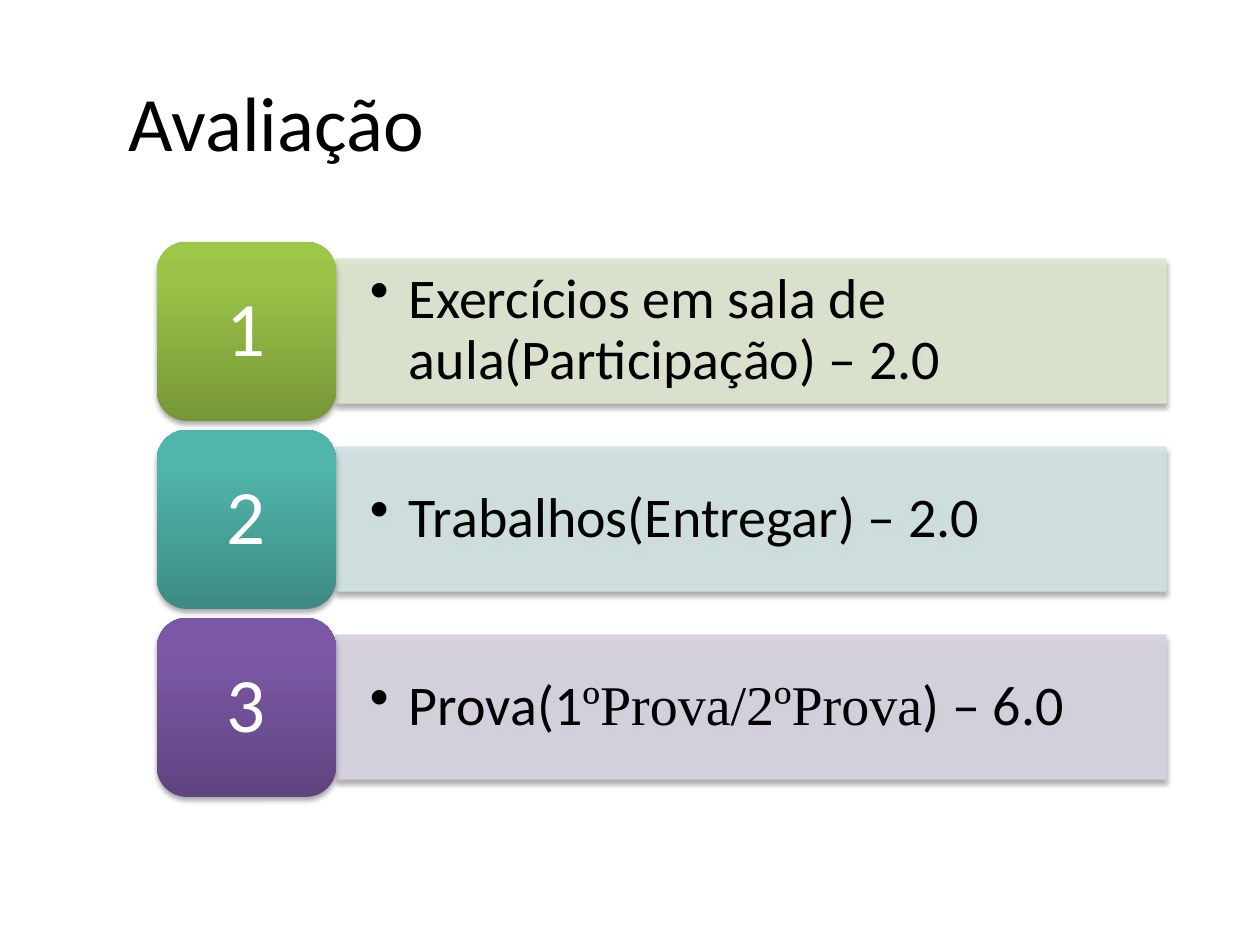
from dataclasses import dataclass

from lxml import etree
from pptx import Presentation
from pptx import util as u
from pptx.dml.color import RGBColor
from pptx.enum import shapes, text
from pptx.oxml import parse_xml
from pptx.oxml.ns import nsdecls, qn

PX = u.Inches(1) // 126


@dataclass(frozen=True)
class Theme:
    font: str = "Calibri"
    serif: str = "Times New Roman"
    ink: str = "000000"
    badge_ink: str = "FFFFFF"
    title_size: int = 44
    badge_size: int = 44
    item_size: int = 32
    panel_opacity: int = 90


THEME = Theme()

# Number, text runs, panel colour, badge gradient from bottom to top
ITEMS = [
    ("1", [("Exercícios em sala de aula(Participação) – 2.0", THEME.font)],
     "DEE7D1", ("779737", "9BC348", "9DC746")),
    ("2", [("Trabalhos(Entregar) – 2.0", THEME.font)],
     "D2E3E2", ("3D8B83", "50B5AA", "4EB8AC")),
    ("3", [("Prova(1", THEME.font), ("ºProva/2ºProva", THEME.serif),
           (") – 6.0", THEME.font)],
     "D8D3E0", ("5F4480", "7B58A6", "7C57A8")),
]


def px(*lengths):
    return [length * PX for length in lengths]


def add_run(paragraph, words, font, size, colour):
    run = paragraph.add_run()
    run.text = words
    run.font.name = font
    run.font.size = u.Pt(size)
    run.font.color.rgb = RGBColor.from_string(colour)


def add_shadow(shape):
    shape.shadow.inherit = False
    effects = shape._element.spPr.find(qn("a:effectLst"))
    effects.append(parse_xml(
        f'<a:outerShdw {nsdecls("a")} blurRad="{u.Pt(3.1)}" dist="{u.Pt(1.8)}" '
        'dir="5400000" rotWithShape="0"><a:srgbClr val="000000">'
        '<a:alpha val="35000"/></a:srgbClr></a:outerShdw>'))


def prepare_text(shape, inset_x, inset_y, align):
    frame = shape.text_frame
    frame.word_wrap = True
    frame.vertical_anchor = text.MSO_ANCHOR.MIDDLE
    frame.margin_left, frame.margin_right = px(inset_x, inset_x)
    frame.margin_top, frame.margin_bottom = px(inset_y, inset_y)
    paragraph = frame.paragraphs[0]
    paragraph.alignment = align
    paragraph.line_spacing = 0.9
    return paragraph


def add_title(slide, words, left, top, width, height):
    title = slide.shapes.title
    title.left, title.top, title.width, title.height = px(left, top, width, height)
    title.text_frame.vertical_anchor = text.MSO_ANCHOR.MIDDLE
    paragraph = title.text_frame.paragraphs[0]
    paragraph.alignment = text.PP_ALIGN.LEFT
    add_run(paragraph, words, THEME.font, THEME.title_size, THEME.ink)


def add_panel(slide, runs, colour, left, top, width, height):
    panel = slide.shapes.add_shape(
        shapes.MSO_SHAPE.RECTANGLE, *px(left, top, width, height))
    panel.fill.solid()
    panel.fill.fore_color.rgb = RGBColor.from_string(colour)
    panel.line.color.rgb = RGBColor.from_string(colour)
    panel.line.width = u.Pt(0.75)
    # Fill and line share one opacity
    for tint in panel._element.spPr.iter(qn("a:srgbClr")):
        etree.SubElement(tint, qn("a:alpha"), val=str(THEME.panel_opacity * 1000))
    add_shadow(panel)

    paragraph = prepare_text(panel, 34, 18, text.PP_ALIGN.LEFT)
    indent = 39 * PX
    props = paragraph._p.get_or_add_pPr()
    props.set("marL", str(indent))
    props.set("indent", str(-indent))
    etree.SubElement(props, qn("a:buChar"), char="•")
    for words, font in runs:
        add_run(paragraph, words, font, THEME.item_size, THEME.ink)


def add_badge(slide, number, gradient, left, top, size):
    badge = slide.shapes.add_shape(
        shapes.MSO_SHAPE.ROUNDED_RECTANGLE, *px(left, top, size, size))
    stops = "".join(
        f'<a:gs pos="{place * 1000}"><a:srgbClr val="{colour}"/></a:gs>'
        for place, colour in zip((0, 80, 100), gradient))
    badge._element.spPr.find(qn("a:prstGeom")).addnext(parse_xml(
        f'<a:gradFill {nsdecls("a")} rotWithShape="1"><a:gsLst>{stops}</a:gsLst>'
        '<a:lin ang="16200000" scaled="0"/></a:gradFill>'))
    badge.line.fill.background()
    add_shadow(badge)
    paragraph = prepare_text(badge, 32, 20, text.PP_ALIGN.CENTER)
    add_run(paragraph, number, THEME.font, THEME.badge_size, THEME.badge_ink)


def add_list(slide, items, left, top, width, height):
    gap = 9
    badge = (height - gap * (len(items) - 1)) // len(items)
    panel = badge * 4 // 5 + 1
    for row, (number, runs, colour, gradient) in enumerate(items):
        y = top + row * (badge + gap)
        add_panel(slide, runs, colour, left + badge, y + (badge - panel) // 2,
                  width - badge, panel)
        add_badge(slide, number, gradient, left, y, badge)


def main():
    deck = Presentation()
    deck.slide_width, deck.slide_height = px(1260, 945)
    slide = deck.slides.add_slide(deck.slide_layouts[5])
    add_title(slide, "Avaliação", 116, 42, 1113, 158)
    add_list(slide, ITEMS, 157, 242, 1009, 556)
    deck.save("out.pptx")


if __name__ == "__main__":
    main()
